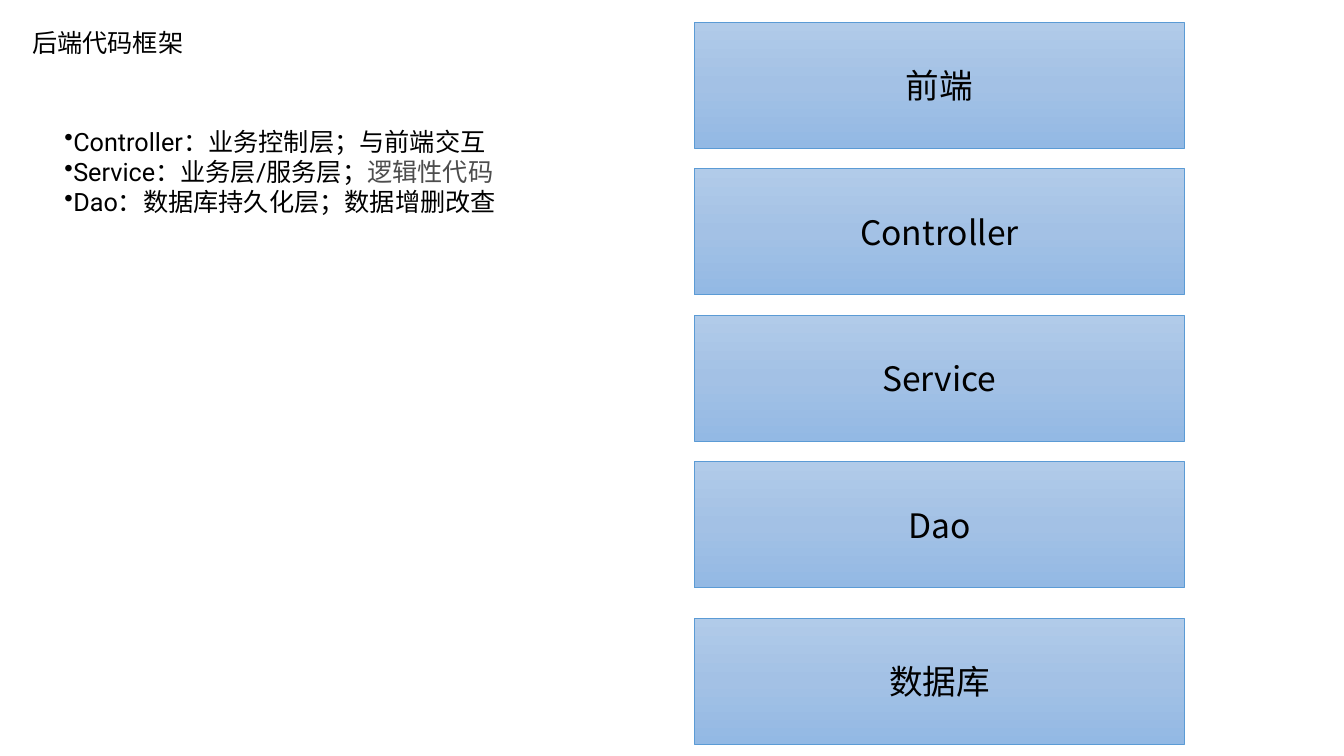
"""Build the slide on the layers of a backend code framework."""
from copy import deepcopy

from lxml.etree import SubElement
from pptx import Presentation
from pptx.dml.color import RGBColor
from pptx.enum.shapes import MSO_SHAPE
from pptx.enum.text import MSO_ANCHOR as Anchor, MSO_AUTO_SIZE as AutoSize, PP_ALIGN as Align
from pptx.oxml.ns import qn
from pptx.util import Pt

COLORS = {
    "text": "000000",
    "muted": "4D4D4D",
    "border": "5B9BD5",
    "top": "B1CBE9",
    "middle": "A3C1E5",
    "bottom": "93B9E4",
}


class LayerSlide:
    """Hold the style and the slide, and add its elements."""

    body_font = "Roboto"
    layer_font = "Noto Sans CJK SC"

    def __init__(self, slide):
        self.shapes = slide.shapes

    def color(self, name):
        return RGBColor.from_string(COLORS[name])

    def style_run(self, run, font, size, color):
        run.font.name = font
        run.font.size = Pt(size)
        run.font.color.rgb = self.color(color)
        SubElement(run.font._element, qn("a:ea"), typeface=self.layer_font)

    def text(self, left, top, width, height, lines, bullet=None):
        box = self.shapes.add_textbox(Pt(left), Pt(top), Pt(width), Pt(height))
        frame = box.text_frame
        frame.word_wrap = True
        frame.auto_size = AutoSize.SHAPE_TO_FIT_TEXT
        frame.text = "\n".join(lead for lead, _ in lines)
        for paragraph, (_, muted) in zip(frame.paragraphs, lines):
            self.style_run(paragraph.runs[0], self.body_font, 18, "text")
            if muted:
                ending = paragraph.add_run()
                ending.text = muted
                self.style_run(ending, self.body_font, 18, "muted")
            if bullet:
                properties = paragraph._p.get_or_add_pPr()
                SubElement(properties, qn("a:buChar"), char=bullet)

    def layer(self, left, top, width, height, label):
        box = self.shapes.add_shape(
            MSO_SHAPE.RECTANGLE, Pt(left), Pt(top), Pt(width), Pt(height))
        box.shadow.inherit = False
        box.line.color.rgb = self.color("border")
        box.line.width = Pt(0.5)
        self.shade(box)
        frame = box.text_frame
        frame.text = label
        frame.vertical_anchor = Anchor.MIDDLE
        paragraph = frame.paragraphs[0]
        paragraph.alignment = Align.CENTER
        self.style_run(paragraph.runs[0], self.layer_font, 24, "text")

    def shade(self, box):
        box.fill.gradient()
        box.fill.gradient_angle = 270
        first = box._element.spPr.find(".//" + qn("a:gs"))
        first.addnext(deepcopy(first))
        shades = ("top", "middle", "bottom")
        for index, (stop, shade) in enumerate(zip(box.fill.gradient_stops, shades)):
            stop.position = index / 2
            stop.color.rgb = self.color(shade)


def main():
    deck = Presentation()
    deck.slide_width, deck.slide_height = Pt(960), Pt(540)
    page = LayerSlide(deck.slides.add_slide(deck.slide_layouts[6]))

    page.text(15.8, 15.8, 480, 29, [("后端代码框架", None)])
    page.text(38.9, 86.4, 480, 72.7, [
        ("Controller：业务控制层；与前端交互", None),
        ("Service：业务层/服务层；", "逻辑性代码"),
        ("Dao：数据库持久化层；数据增删改查", None),
    ], bullet="•")

    left, width, height = 496, 350, 90
    first_top, pitch = 15.8, 104.7
    for index, label in enumerate(("前端", "Controller", "Service", "Dao")):
        page.layer(left, first_top + index * pitch, width, height, label)
    page.layer(left, 441.4, width, height, "数据库")

    deck.save("out.pptx")


if __name__ == "__main__":
    main()
